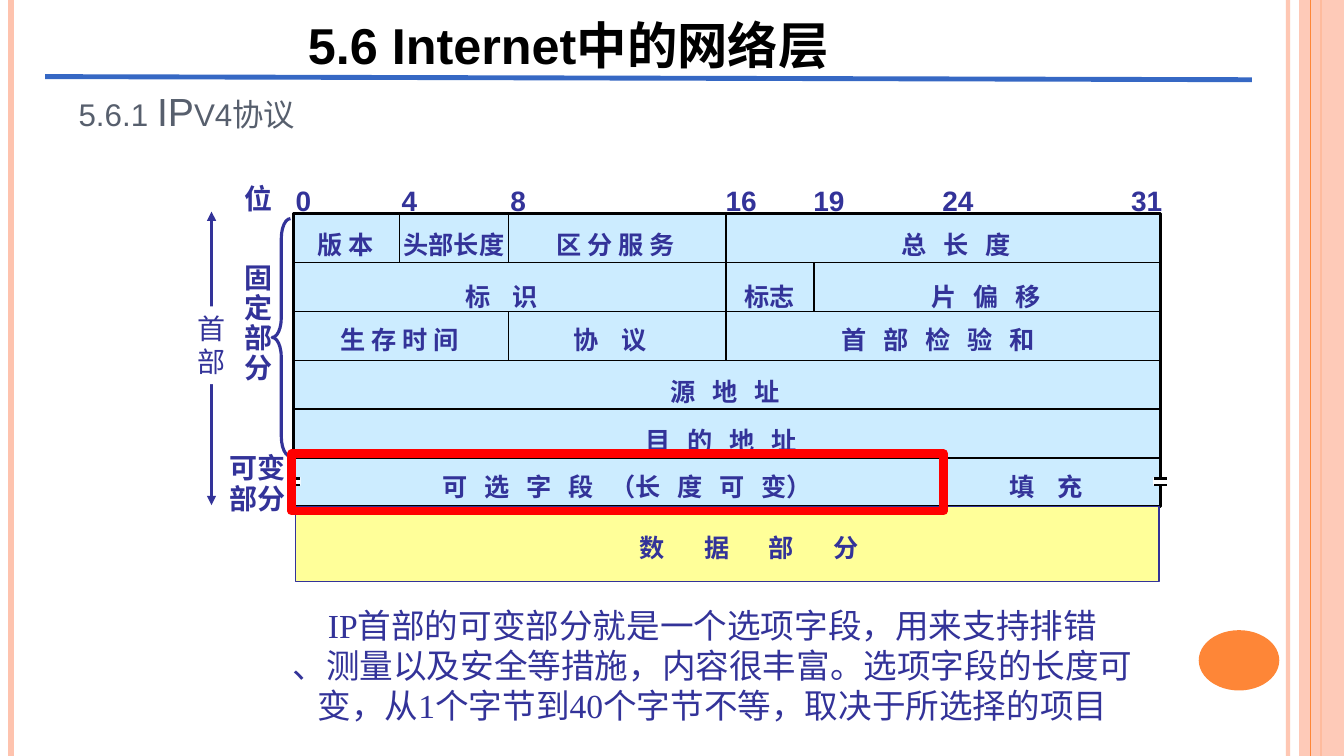
from dataclasses import dataclass
from itertools import groupby

from lxml import etree
from pptx import Presentation
from pptx.dml.color import RGBColor
from pptx.enum.shapes import MSO_CONNECTOR, MSO_SHAPE
from pptx.enum.text import MSO_ANCHOR, MSO_AUTO_SIZE, PP_ALIGN
from pptx.oxml.ns import qn
from pptx.util import Cm, Pt

RECT, OVAL, BRACE = MSO_SHAPE.RECTANGLE, MSO_SHAPE.OVAL, MSO_SHAPE.LEFT_BRACE
STRAIGHT = MSO_CONNECTOR.STRAIGHT
LEFT, CENTER = PP_ALIGN.LEFT, PP_ALIGN.CENTER
TOP, BOTTOM = MSO_ANCHOR.TOP, MSO_ANCHOR.BOTTOM
FIT, FIXED = MSO_AUTO_SIZE.SHAPE_TO_FIT_TEXT, MSO_AUTO_SIZE.NONE


@dataclass(frozen=True)
class Theme:
    ink: str = "333399"
    black: str = "000000"
    white: str = "FFFFFF"
    grey: str = "575F6D"
    rule: str = "3668C4"
    peach: str = "FEC3AE"
    orange: str = "FE8637"
    header: str = "CCECFF"
    data: str = "FFFF99"
    accent: str = "FF0000"
    sans: str = "Arial"
    serif: str = "Times New Roman"
    title: int = 36
    subtitle: int = 28
    body: int = 24
    label: int = 20
    field: int = 18


T = Theme()
FIELD = dict(name=T.sans, size=Pt(T.field), bold=True)
LABEL = dict(name=T.sans, size=Pt(T.label), bold=True)

ROW = 1.23
BITS = {0: 0, 4: 2.67, 8: 5.41, 16: 10.9, 19: 13.11, 24: 16.36, 31: 21.12}
DIVIDERS = [(4, 0, 1), (8, 0, 1), (8, 2, 3), (16, 0, 3), (19, 1, 2), (24, 5, 6)]
# Per row: text drop, then (text, centre, gap between letters in points)
ROWS = [
    (0.1, [("版 本", 1.3, 0), ("头部长度", 4.04, 0),
           ("区 分 服 务", 8.12, 0), ("总长度", 16.7, 12)]),
    (0.2, [("标识", 5.24, 16), ("标志", 12, 0), ("片偏移", 17.45, 12)]),
    (0.05, [("生 存 时 间", 2.67, 0), ("协议", 7.98, 16), ("首部检验和", 16.25, 12)]),
    (0.12, [("源地址", 10.88, 12)]),
    (0.13, [("目的地址", 10.77, 12)]),
    (0.06, [("可选字段（长度可变）", 8.4, 12), ("填充", 18.96, 16)]),
]


def add_alpha(element, percent):
    clr = element.find(".//" + qn("a:srgbClr"))
    etree.SubElement(clr, qn("a:alpha"), val=str(percent * 1000))


def add_line(s, x1, y1, x2, y2, color, width, alpha=None, arrows=False):
    c = s.shapes.add_connector(STRAIGHT, Cm(x1), Cm(y1), Cm(x2), Cm(y2))
    c.line.color.rgb = RGBColor.from_string(color)
    c.line.width = Pt(width)
    ln = c._element.spPr.find(qn("a:ln"))
    if alpha:
        add_alpha(ln, alpha)
    if arrows:
        for end in ("a:headEnd", "a:tailEnd"):
            etree.SubElement(ln, qn(end), type="triangle")
    etree.SubElement(c._element.spPr, qn("a:effectLst"))


def add_box(s, kind, x, y, w, h, fill=None, line=None, width=1, alpha=None):
    sp = s.shapes.add_shape(kind, Cm(x), Cm(y), Cm(w), Cm(h))
    sp.shadow.inherit = False
    if fill:
        sp.fill.solid()
        sp.fill.fore_color.rgb = RGBColor.from_string(fill)
        if alpha:
            add_alpha(sp._element.spPr, alpha)
    else:
        sp.fill.background()
    if line:
        sp.line.color.rgb = RGBColor.from_string(line)
        sp.line.width = Pt(width)
    else:
        sp.line.fill.background()
    return sp


def split_runs(text, gap):
    """Split text into (part, gap) pairs; brackets and the last letter get no gap."""
    def spaced(i):
        return text[i] != "（" and text[i + 1:i + 2] not in ("", "）")
    for wide, group in groupby(range(len(text)), spaced):
        yield "".join(text[i] for i in group), gap if wide else 0


def box_width(text, font, gap):
    """Width in cm of a one-line box that holds the text and its side insets."""
    size = font["size"].pt
    ems = sum(0.3 if ch == " " else 0.56 if ch.isdigit() else 1 for ch in text)
    return round((ems * size + gap * len(text)) * 2.54 / 72 + 0.56, 2)


def fill_text(sp, lines, font, color=T.ink, align=CENTER, spacing=1.0, gap=0,
              wrap=False, anchor=TOP, fit=FIT, caps=False):
    tf = sp.text_frame
    frame = dict(word_wrap=wrap, auto_size=fit, vertical_anchor=anchor)
    for key, value in frame.items():
        setattr(tf, key, value)
    for i, text in enumerate(lines):
        p = tf.add_paragraph() if i else tf.paragraphs[0]
        p.alignment, p.line_spacing = align, spacing
        for part, space in split_runs(text, gap) if gap else [(text, 0)]:
            r = p.add_run()
            r.text = part
            for key, value in font.items():
                setattr(r.font, key, value)
            r.font.color.rgb = RGBColor.from_string(color)
            if space:
                r._r.get_or_add_rPr().set("spc", str(space * 100))
            if caps:
                r._r.get_or_add_rPr().set("cap", "small")


def add_text(s, x, y, w, h, lines, font, **fmt):
    fill_text(s.shapes.add_textbox(Cm(x), Cm(y), Cm(w), Cm(h)), lines, font, **fmt)


def add_centred(s, cx, y, h, lines, font, spacing=1.2, gap=0):
    w = max(box_width(text, font, gap) for text in lines)
    add_text(s, cx - w / 2, y, w, h, lines, font, spacing=spacing, gap=gap)


def draw_edges(s, w, h):
    add_line(s, w - 1.41, 0, w - 1.41, h, T.peach, 3, alpha=93)
    add_line(s, 0.28, 0, 0.28, h, T.peach, 4.5)
    add_line(s, w - 0.57, 0, w - 0.57, h, T.orange, 1.5)
    add_box(s, RECT, w - 1.13, 0, 1.13, h, fill=T.peach, alpha=87)
    add_line(s, w - 0.85, 0, w - 0.85, h, T.orange, 0.75)
    add_box(s, OVAL, w - 3.66, h - 3.17, 2.03, 1.52, fill=T.orange)


def draw_heading(s, x, y, w):
    add_text(s, x + 0.59, y - 0.43, 22.6, 2.01, ["5.6.1 IPv4协议"],
             dict(name=T.sans, size=Pt(T.subtitle)), color=T.grey, align=LEFT,
             wrap=True, anchor=BOTTOM, fit=FIXED, caps=True)
    add_line(s, x, y, x + w, y + 0.08, T.rule, 3.5)
    add_text(s, x + 6.37, y - 2.01, 14.71, 2.11, ["5.6 Internet中的网络层"],
             dict(name=T.sans, size=Pt(T.title), bold=True), color=T.black,
             align=LEFT, spacing=1.2)


def draw_break_mark(s, cx, y):
    add_box(s, RECT, cx - 0.18, y, 0.36, 0.2, fill=T.white)
    for line_y in (y + 0.02, y + 0.19):
        add_line(s, cx - 0.16, line_y, cx + 0.16, line_y, T.black, 2)


def draw_packet(s, x, y, w):
    h = ROW * len(ROWS)
    add_box(s, RECT, x, y, w, h, T.header, T.black, 2)
    add_box(s, RECT, x + 0.05, y + h, w - 0.08, 1.88, T.data, T.ink)
    for i in range(1, len(ROWS)):
        add_line(s, x, y + i * ROW, x + w, y + i * ROW, T.black, 1)
    for bit, first, last in DIVIDERS:
        cx = x + BITS[bit]
        add_line(s, cx, y + first * ROW, cx, y + last * ROW, T.black, 1)
    for bit, offset in BITS.items():
        cx = x + offset + 0.12 + 0.13 * len(str(bit))
        add_centred(s, cx, y - 1.07, 1.27, [str(bit)], LABEL)
    for i, (drop, fields) in enumerate(ROWS):
        for text, cx, gap in fields:
            add_centred(s, x + cx, y + i * ROW + drop, 1.17, [text], FIELD, gap=gap)
    for edge in (x, x + w):
        draw_break_mark(s, edge, y + 6.64)
    add_centred(s, x + 11.48, y + h + 0.37, 1.17, ["数据部分"], FIELD, gap=28)
    add_box(s, RECT, x - 0.05, y + 6.04, 16.43, 1.45, line=T.accent, width=6)


def draw_side_labels(s, x, y, h):
    add_line(s, x, y - 0.05, x, y + h, T.ink, 2.25, arrows=True)
    whole = add_box(s, RECT, x - 0.61, y + 2.34, 1.22, 1.96, fill=T.white)
    fill_text(whole, "首部", dict(name=T.sans, size=Pt(T.label)))
    add_centred(s, x + 1.19, y - 1.09, 1.27, ["位"], LABEL)
    add_centred(s, x + 1.19, y + 1.15, 3.33, "固定部分", LABEL, spacing=0.9)
    add_centred(s, x + 1.15, y + 5.95, 1.78, ["可变", "部分"], LABEL, spacing=0.9)
    brace = add_box(s, BRACE, x + 1.53, y + 0.13, 0.46, 5.99, line=T.ink, width=2.25)
    brace.adjustments[0] = 1.08


def draw_note(s, x, y, w, h):
    add_text(s, x, y, w, h, [
        "IP首部的可变部分就是一个选项字段，用来支持排错",
        "、测量以及安全等措施，内容很丰富。选项字段的长度可变，"
        "从1个字节到40个字节不等，取决于所选择的项目",
    ], dict(name=T.serif, size=Pt(T.body)), wrap=True)


def main():
    prs = Presentation()
    prs.slide_width, prs.slide_height = Cm(33.87), Cm(19.05)
    s = prs.slides.add_slide(prs.slide_layouts[6])
    draw_edges(s, 33.87, 19.05)
    draw_side_labels(s, 5.33, 5.38, 7.35)
    draw_packet(s, 7.4, 5.39, 21.84)
    draw_note(s, 6.78, 15.11, 22.35, 3.33)
    draw_heading(s, 1.14, 1.93, 30.41)
    prs.save("out.pptx")


if __name__ == "__main__":
    main()
